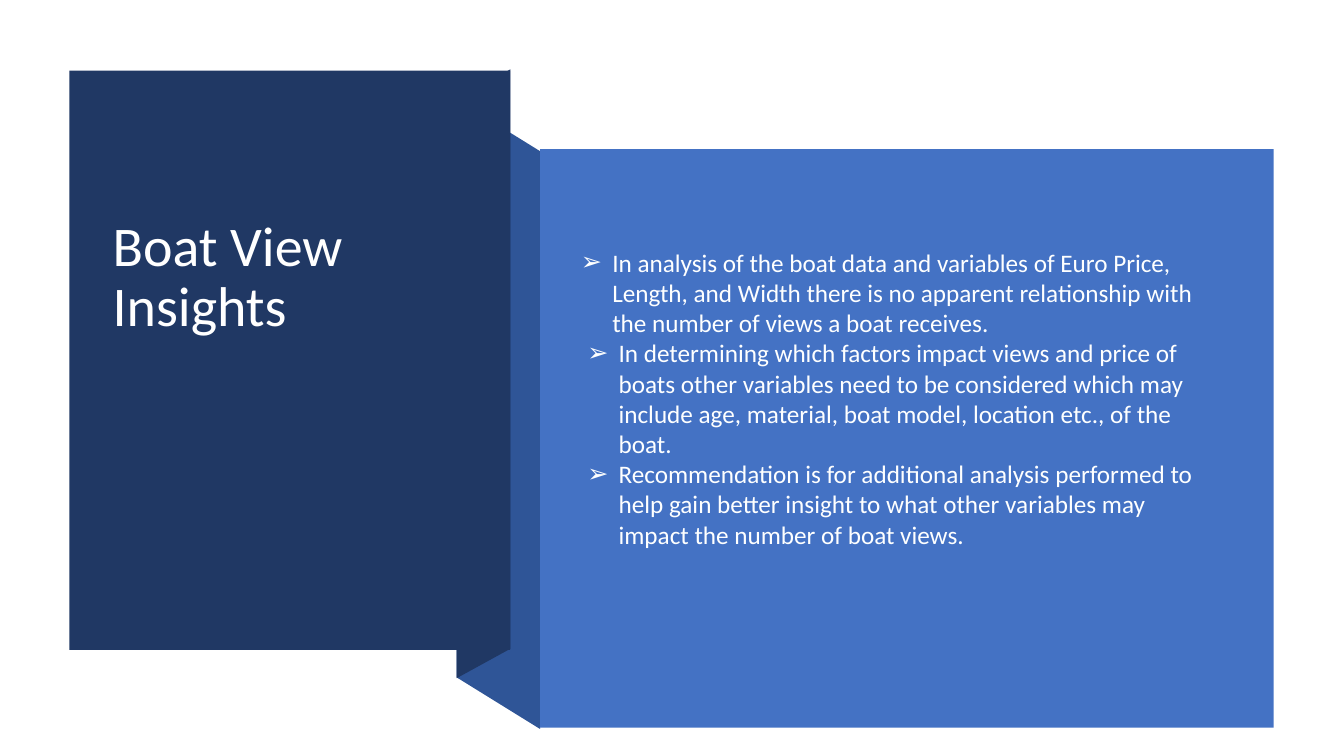
from dataclasses import dataclass

from lxml.etree import SubElement
from pptx import Presentation
from pptx.dml.color import RGBColor
from pptx.enum.shapes import MSO_SHAPE as Shape
from pptx.enum.text import MSO_ANCHOR as Anchor, MSO_AUTO_SIZE as Fit, PP_ALIGN as Align
from pptx.oxml.ns import qn
from pptx.util import Cm, Pt


@dataclass(frozen=True)
class Theme:
    navy: str = "203864"
    mid: str = "2F5597"
    blue: str = "4472C4"
    white: str = "FFFFFF"
    pale: str = "FEFFFF"
    font: str = "Calibri"
    head: int = 40
    body: int = 18


@dataclass(frozen=True)
class Box:
    """A region in centimetres."""
    x: float
    y: float
    w: float
    h: float

    def inner(self, dx, dy, w, h):
        return Box(self.x + dx, self.y + dy, w, h)

    def lengths(self):
        return Cm(self.x), Cm(self.y), Cm(self.w), Cm(self.h)


THEME = Theme()
POINTS = [
    "In analysis of the boat data and variables of Euro Price, Length, and Width "
    "there is no apparent relationship with the number of views a boat receives.",
    "In determining which factors impact views and price of boats other variables "
    "need to be considered which may include age, material, boat model, location "
    "etc., of the boat.",
    "Recommendation is for additional analysis performed to help gain better insight "
    "to what other variables may impact the number of boat views.",
]


def paint(shape, color):
    shape.shadow.inherit = False
    shape.fill.solid()
    shape.fill.fore_color.rgb = RGBColor.from_string(color)
    shape.line.fill.background()


def panel(slide, box, color):
    paint(slide.shapes.add_shape(Shape.RECTANGLE, *box.lengths()), color)


def fold(slide, box, drop, color):
    """Draw a slanted band whose right edge sits lower than its left by drop."""
    left, right = max(-drop, 0), max(drop, 0)
    side = box.h - abs(drop)
    ends = [(0, left), (box.w, right), (box.w, right + side), (0, left + side)]
    dots = [(Cm(box.x + x), Cm(box.y + y)) for x, y in ends]
    path = slide.shapes.build_freeform(*dots[0])
    path.add_line_segments(dots[1:], close=True)
    paint(path.convert_to_shape(), color)


def place(holder, box, top):
    """Bring a placeholder to the front, fit it to the box and inset its text."""
    holder.element.getparent().append(holder.element)
    holder.left, holder.top, holder.width, holder.height = box.lengths()
    frame = holder.text_frame
    frame.word_wrap = True
    frame.auto_size = Fit.NONE
    frame.vertical_anchor = Anchor.TOP
    frame.margin_left = frame.margin_right = Cm(0.25)
    frame.margin_top = Cm(top)
    return frame


def style(para, size, color):
    para.alignment = Align.LEFT
    para.space_before = Pt(0)
    for run in para.runs:
        run.font.name = THEME.font
        run.font.size = Pt(size)
        run.font.color.rgb = RGBColor.from_string(color)


def bullet(para, indent):
    props = para._p.get_or_add_pPr()
    props.set("marL", str(Cm(indent)))
    props.set("indent", str(Cm(-0.79)))
    SubElement(props, qn("a:buChar")).set("char", "➢")


def heading(slide, box, text):
    panel(slide, box, THEME.navy)
    frame = place(slide.shapes.title, box.inner(0.84, 0.94, 9.42, 12.67), 2.77)
    frame.text = text
    para = frame.paragraphs[0]
    style(para, THEME.head, THEME.white)
    para.line_spacing = 0.9
    para.space_after = Pt(6)


def findings(slide, box, points):
    panel(slide, box, THEME.blue)
    frame = place(slide.placeholders[1], box.inner(-0.02, 0.79, 16.94, 9.5), 1.67)
    frame.text = "\n".join(points)
    for index, para in enumerate(frame.paragraphs):
        para.level = 1
        style(para, THEME.body, THEME.pale)
        bullet(para, 1.75 if index else 1.59)


def main():
    deck = Presentation()
    deck.slide_width, deck.slide_height = Cm(33.87), Cm(19.05)
    slide = deck.slides.add_slide(deck.slide_layouts[1])
    fold(slide, Box(11.51, 2.51, 2.1, 15.86), 1.3, THEME.mid)
    fold(slide, Box(11.51, 1.75, 1.35, 15.34), -0.74, THEME.navy)
    heading(slide, Box(1.75, 1.78, 11.11, 14.6), "Boat View Insights")
    findings(slide, Box(13.61, 3.76, 18.49, 14.58), POINTS)
    deck.save("out.pptx")


if __name__ == "__main__":
    main()
